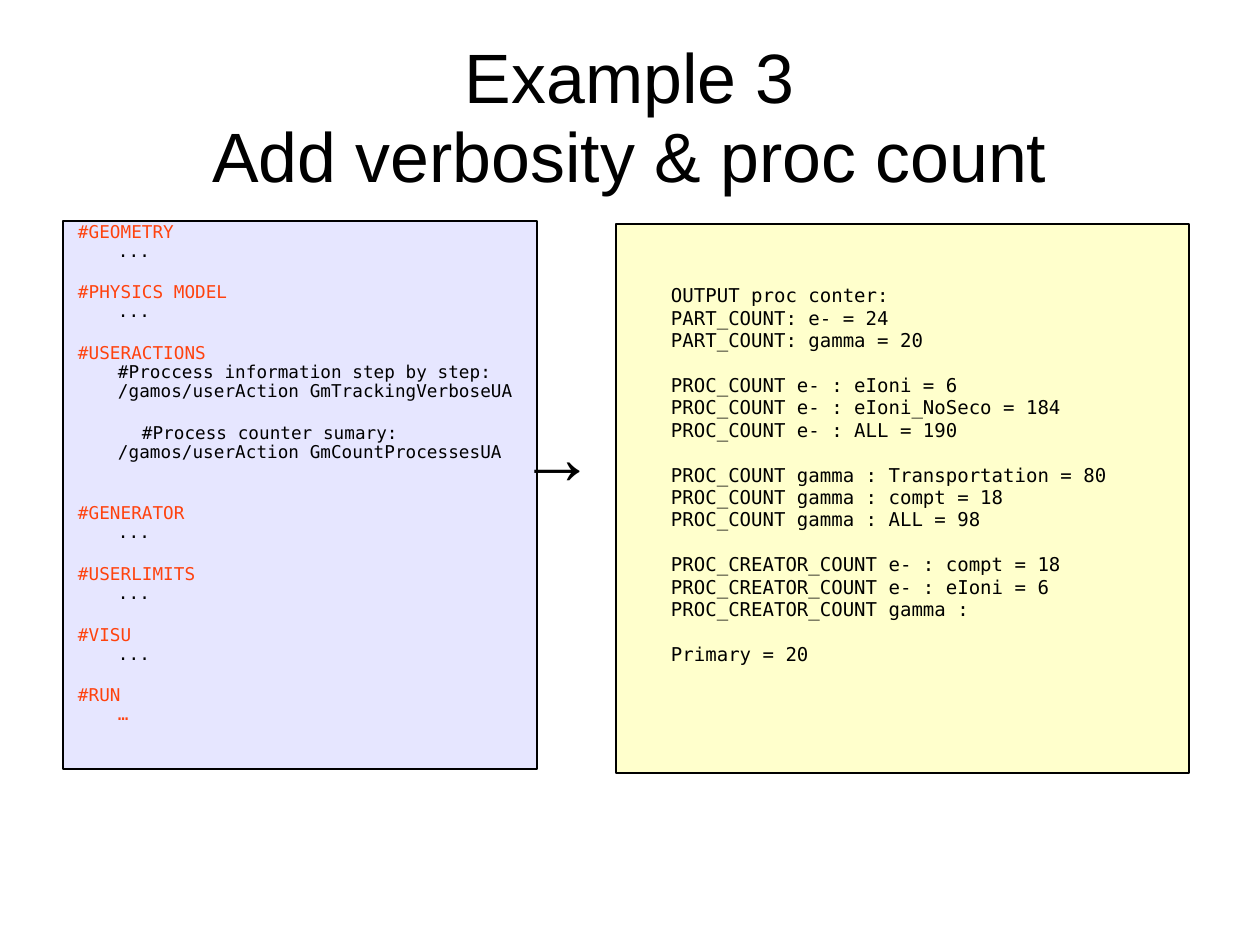
from pptx import Presentation
from pptx.dml.color import RGBColor
from pptx.enum.shapes import MSO_SHAPE
from pptx.enum.text import MSO_ANCHOR, PP_ALIGN
from pptx.util import Emu, Pt

# Content: a block is a list of lines
TITLE = ["Example 3", "Add verbosity & proc count"]
ARROW = "→"
DOTS = "..."
# (heading, lines under it, colour of those lines, extra space after in points)
INPUT = [
    ("#GEOMETRY", [DOTS], "ink", 0),
    ("#PHYSICS MODEL", [DOTS], "ink", 0),
    ("#USERACTIONS", ["#Proccess information step by step:",
                      "/gamos/userAction GmTrackingVerboseUA"], "ink", 0),
    (None, ["      #Process counter sumary:",
            "/gamos/userAction GmCountProcessesUA"], "ink", 12.2),
    ("#GENERATOR", [DOTS], "ink", 0),
    ("#USERLIMITS", [DOTS], "ink", 0),
    ("#VISU", [DOTS], "ink", 0),
    ("#RUN", ["…"], "heading", 0),
]
OUTPUT = [
    ["OUTPUT proc conter:", "PART_COUNT: e- = 24", "PART_COUNT: gamma = 20"],
    ["PROC_COUNT e- : eIoni = 6", "PROC_COUNT e- : eIoni_NoSeco = 184",
     "PROC_COUNT e- : ALL = 190"],
    ["PROC_COUNT gamma : Transportation = 80", "PROC_COUNT gamma : compt = 18",
     "PROC_COUNT gamma : ALL = 98"],
    ["PROC_CREATOR_COUNT e- : compt = 18", "PROC_CREATOR_COUNT e- : eIoni = 6",
     "PROC_CREATOR_COUNT gamma :"],
    ["Primary = 20"],
]

THEME = {
    "ink": "000000", "heading": "FF420E", "input": "E6E6FF", "output": "FFFFCC",
    "sans": "Arial", "mono": "DejaVu Sans Mono",
    "title_size": 44, "arrow_size": 48, "input_size": 11.1, "output_size": 12,
    "line": 1.45,
}
PX = 8000
HANGING = (54, -40)


def px(n):
    return Emu(n * PX)


def set_frame(s, insets, anchor=MSO_ANCHOR.TOP):
    tf = s.text_frame
    tf.word_wrap = True
    tf.vertical_anchor = anchor
    tf.margin_left, tf.margin_top, tf.margin_right, tf.margin_bottom = map(px, insets)
    return tf


def add_panel(slide, box, fill, insets):
    s = slide.shapes.add_shape(MSO_SHAPE.RECTANGLE, *map(px, box))
    s.shadow.inherit = False
    s.fill.solid()
    s.fill.fore_color.rgb = RGBColor.from_string(THEME[fill])
    s.line.color.rgb = RGBColor.from_string(THEME["ink"])
    s.line.width = Pt(THEME["line"])
    return set_frame(s, insets)


def add_label(slide, box, anchor=MSO_ANCHOR.TOP):
    s = slide.shapes.add_textbox(*map(px, box))
    return set_frame(s, (0, 5, 0, 0), anchor)


def add_text(tf, lines, *, size, font="mono", colors=("ink",), align=PP_ALIGN.LEFT,
             spacing=1.0, after=0, indent=(0, 0), italic=False):
    """Add one paragraph of lines; the last colour serves all remaining lines."""
    p = tf.paragraphs[0]
    if p.runs:
        p = tf.add_paragraph()
    p.alignment = align
    p.line_spacing = spacing
    p.space_after = Pt(after)
    pPr = p._p.get_or_add_pPr()
    pPr.set("marL", str(px(indent[0])))
    pPr.set("indent", str(px(indent[1])))
    for i, line in enumerate(lines):
        if i:
            p.add_line_break()
        r = p.add_run()
        r.text = line
        r.font.name = THEME[font]
        r.font.size = Pt(THEME[size])
        r.font.italic = italic
        r.font.color.rgb = RGBColor.from_string(THEME[colors[min(i, len(colors) - 1)]])


def main():
    prs = Presentation()
    prs.slide_width, prs.slide_height = px(1260), px(945)
    slide = prs.slides.add_slide(prs.slide_layouts[6])

    # Title
    tf = add_label(slide, (63, 38, 1134, 158), MSO_ANCHOR.MIDDLE)
    add_text(tf, TITLE, size="title_size", font="sans", align=PP_ALIGN.CENTER, spacing=0.94)

    # Input script
    tf = add_panel(slide, (63, 221, 474, 548), "input", (1, 2, 1, 1))
    for heading, lines, color, extra in INPUT:
        block = [heading, *lines] if heading else lines
        colors = ("heading", color) if heading else (color,)
        add_text(tf, block, size="input_size", colors=colors, spacing=0.9,
                 after=14.3 + extra, indent=HANGING)

    # Program output
    tf = add_panel(slide, (616, 224, 573, 549), "output", (1, 61, 1, 1))
    for block in OUTPUT:
        add_text(tf, block, size="output_size", spacing=0.98, after=14.1,
                 indent=(HANGING[0], 0))

    # Arrow between the panels
    tf = add_label(slide, (505, 411, 126, 69))
    add_text(tf, [ARROW], size="arrow_size", font="sans", spacing=0.94,
             indent=HANGING, italic=True)

    prs.save("out.pptx")


if __name__ == "__main__":
    main()
